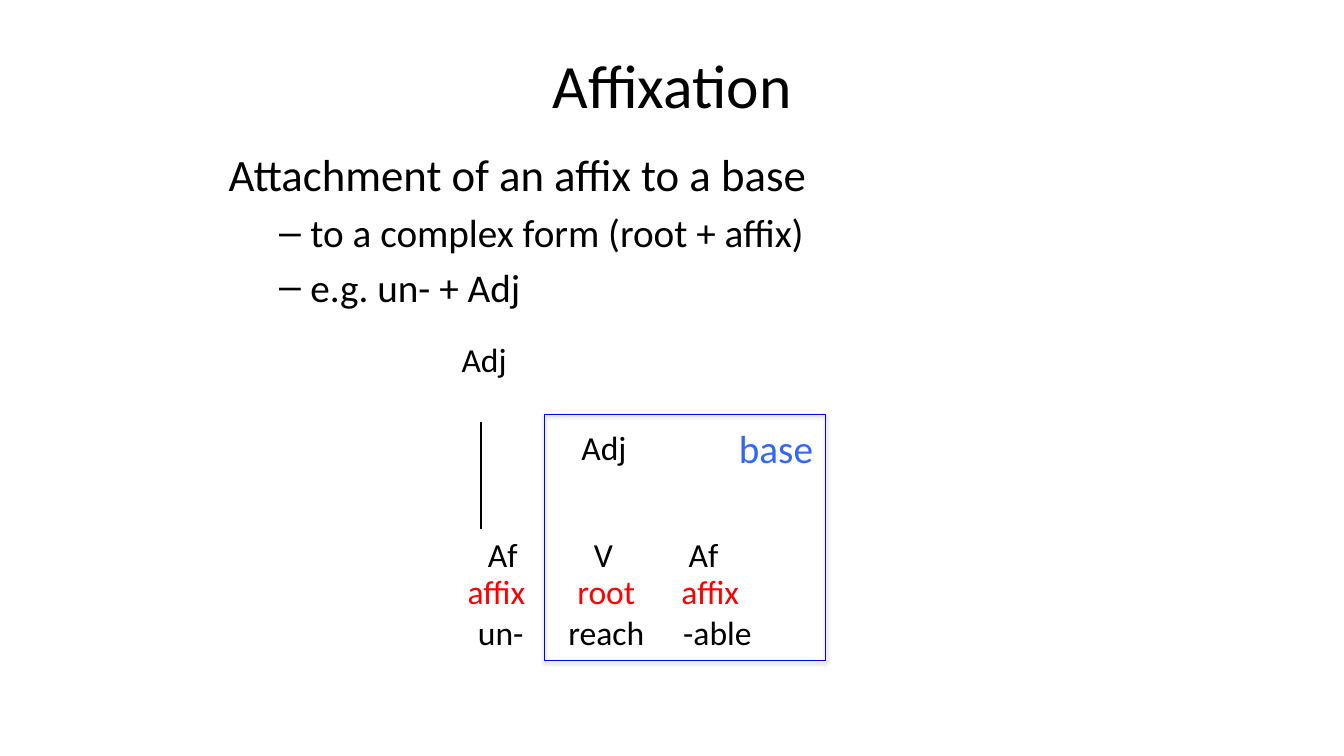
from lxml import etree
from pptx import Presentation
from pptx.dml.color import RGBColor
from pptx.enum.shapes import MSO_CONNECTOR as Connector, MSO_SHAPE as Shape
from pptx.enum.text import MSO_ANCHOR as Anchor, MSO_AUTO_SIZE as AutoSize, PP_ALIGN as Align
from pptx.oxml import parse_xml
from pptx.oxml.ns import nsdecls, qn
from pptx.util import Cm, Pt

# Content
BLACK, RED, BLUE, LIGHT_BLUE, WHITE = "000000", "FF0000", "0000FF", "3366FF", "FFFFFF"
TITLE = "Affixation"
OUTLINE = [  # text, level, size
    ("Attachment of an affix to a base", 0, 32),
    ("to a complex form (root + affix)", 1, 28),
    ("e.g. un- + Adj", 1, 28),
]
# Tree rows: box, then lines of (words, colour, word centres from the text edge in cm)
TREE_ROWS = [
    ((9.42, 14.27, 11.63, 2.31), [
        (["affix", "root", "affix"], RED, [2.84, 5.61, 8.23]),
        (["un-", "reach", "-able"], BLACK, [2.95, 5.61, 8.41]),
    ]),
    ((9.73, 13.34, 10.97, 1.27), [
        (["Af", "V", "Af"], BLACK, [2.69, 5.23, 7.75]),
    ]),
]
LABELS = [  # text, box in cm, size, colour
    ("Adj", (13.72, 10.64, 3.0, 1.27), 24, BLACK),
    ("Adj", (10.7, 8.41, 3.0, 1.27), 24, BLACK),
    ("base", (18.08, 10.57, 2.95, 1.45), 28, LIGHT_BLUE),
]
BASE_FRAME = (13.72, 10.44, 7.09, 6.2)
BRANCH = (12.12, 10.64, 12.12, 13.34)


def color(hex_text):
    return RGBColor.from_string(hex_text)


def cm(lengths):
    return [Cm(length) for length in lengths]


def place(shape, box):
    shape.left, shape.top, shape.width, shape.height = cm(box)


def style(paragraph, size, hex_text):
    for run in paragraph.runs:
        run.font.name = "Calibri"
        run.font.size = Pt(size)
        run.font.color.rgb = color(hex_text)


def set_tabs(paragraph, centres):
    tabs = etree.SubElement(paragraph._p.get_or_add_pPr(), qn("a:tabLst"))
    for centre in centres:
        etree.SubElement(tabs, qn("a:tab"), pos=str(Cm(centre)), algn="ctr")


prs = Presentation()
prs.slide_width, prs.slide_height = Cm(33.87), Cm(19.05)
slide = prs.slides.add_slide(prs.slide_layouts[1])
shapes = slide.shapes

# Title
title = shapes.title
place(title, (1.7, 0.76, 30.48, 2.69))
title.text_frame.text = TITLE
title.text_frame.vertical_anchor = Anchor.MIDDLE
title.text_frame.paragraphs[0].alignment = Align.CENTER
style(title.text_frame.paragraphs[0], 44, BLACK)

# Outline
body = slide.placeholders[1]
place(body, (5.51, 3.56, 22.86, 13.0))
outline = body.text_frame
outline.auto_size = AutoSize.NONE
outline.text = "\n".join(text for text, _, _ in OUTLINE)
for index, (paragraph, (_, level, size)) in enumerate(zip(outline.paragraphs, OUTLINE)):
    paragraph.level = level
    paragraph.space_before = Pt(size * 0.2 if index else 0)
    props = paragraph._p.get_or_add_pPr()
    props.set("marL", str(Cm(2.06 * level)))
    props.set("indent", str(Cm(-0.79 * level)))
    if level:
        etree.SubElement(props, qn("a:buChar"), char="–")
    else:
        etree.SubElement(props, qn("a:buNone"))
    style(paragraph, size, BLACK)

# Tree rows, each word centred on its own tab stop
for box, lines in TREE_ROWS:
    row = shapes.add_shape(Shape.RECTANGLE, *cm(box))
    row.shadow.inherit = False
    row.fill.solid()
    row.fill.fore_color.rgb = color(WHITE)
    row.line.fill.background()
    frame = row.text_frame
    frame.vertical_anchor = Anchor.TOP
    frame.text = "\n".join("\t" + "\t".join(words) for words, _, _ in lines)
    for paragraph, (_, hex_text, centres) in zip(frame.paragraphs, lines):
        paragraph.alignment = Align.LEFT
        set_tabs(paragraph, centres)
        style(paragraph, 24, hex_text)

# Frame around the base
base_frame = shapes.add_shape(Shape.RECTANGLE, *cm(BASE_FRAME))
base_frame.fill.background()
base_frame.line.color.rgb = color(BLUE)
base_frame.line.width = Pt(0.75)
base_frame._element.spPr.append(parse_xml(
    f'<a:effectLst {nsdecls("a")}><a:outerShdw blurRad="{Pt(3.1)}" dist="{Pt(1.8)}" '
    f'dir="5400000" rotWithShape="0"><a:srgbClr val="{BLACK}"><a:alpha val="35000"/>'
    '</a:srgbClr></a:outerShdw></a:effectLst>'))

# Node labels
for text, box, size, hex_text in LABELS:
    label = shapes.add_textbox(*cm(box)).text_frame
    label.word_wrap = True
    label.text = text
    label.paragraphs[0].alignment = Align.CENTER
    style(label.paragraphs[0], size, hex_text)

# Branch to the prefix
branch = shapes.add_connector(Connector.STRAIGHT, *cm(BRANCH))
branch.line.color.rgb = color(BLACK)
branch.line.width = Pt(1)
etree.SubElement(branch._element.spPr, qn("a:effectLst"))

prs.save("out.pptx")
